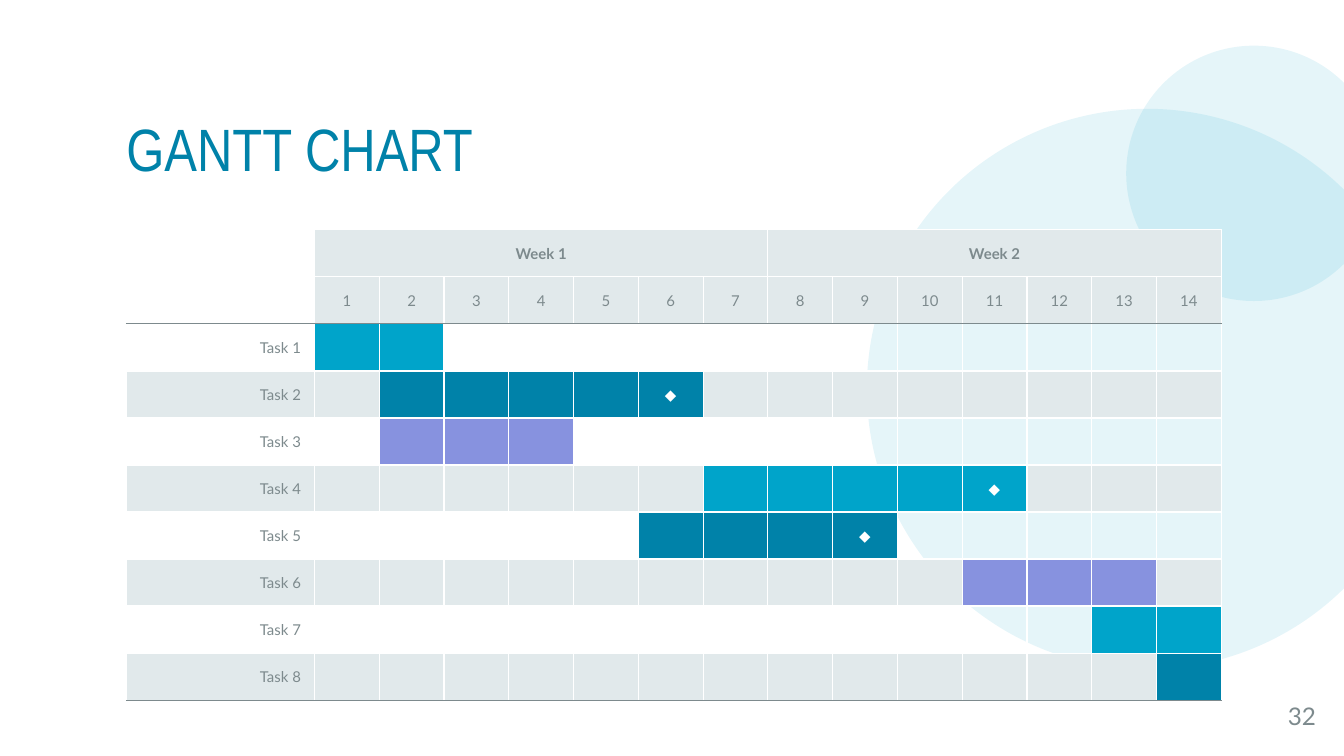
from lxml import etree
from pptx import Presentation, util as u
from pptx.dml.color import RGBColor
from pptx.enum import shapes, text
from pptx.oxml.ns import qn

# Content
TITLE = "GANTT CHART"
PAGE_NUMBER = "32"
WEEKS = ["Week 1", "Week 2"]
DAYS_PER_WEEK = 7

CYAN = RGBColor(0x00, 0xA4, 0xCA)
TEAL = RGBColor(0x00, 0x82, 0xA9)
VIOLET = RGBColor(0x87, 0x92, 0xDF)
GREY = RGBColor(0x7D, 0x8A, 0x8D)
PALE = RGBColor(0xE1, 0xE9, 0xEB)
WHITE = RGBColor(0xFF, 0xFF, 0xFF)

# Task name, first day, last day, bar colour, milestone on the last day
TASKS = [
    ("Task 1", 1, 2, CYAN, False),
    ("Task 2", 2, 6, TEAL, True),
    ("Task 3", 2, 4, VIOLET, False),
    ("Task 4", 7, 11, CYAN, True),
    ("Task 5", 6, 9, TEAL, True),
    ("Task 6", 11, 13, VIOLET, False),
    ("Task 7", 13, 14, CYAN, False),
    ("Task 8", 14, 14, TEAL, False),
]
MILESTONE = "◆"

# Layout, in inches
SLIDE_W = 10
SLIDE_H = SLIDE_W * 9 / 16
LEFT = 0.94
TABLE_TOP, TABLE_W = 1.71, 8.15
NAME_W, ROW_H = 1.4, 0.35
CIRCLES = [(6.45, 0.81, 4.17), (8.38, 0.34, 1.9)]  # left, top, diameter

HEADER_ROWS = 2
DAYS = len(WEEKS) * DAYS_PER_WEEK
ROWS = HEADER_ROWS + len(TASKS)


def set_text(frame, words, size, font, color, align, bold=False):
    frame.text = words
    paragraph = frame.paragraphs[0]
    paragraph.alignment = align
    run = paragraph.runs[0]
    run.font.size, run.font.name = u.Pt(size), font
    run.font.bold, run.font.color.rgb = bold, color


def clear_margins(frame):
    frame.margin_left = frame.margin_right = 0
    frame.margin_top = frame.margin_bottom = 0
    frame.word_wrap = True
    frame.vertical_anchor = text.MSO_ANCHOR.MIDDLE


def set_borders(cell, top, bottom):
    properties = cell._tc.get_or_add_tcPr()
    for side, color in (("L", WHITE), ("R", WHITE), ("T", top), ("B", bottom)):
        line = etree.SubElement(properties, qn(f"a:ln{side}"), w=str(u.Pt(0.75)))
        fill = etree.SubElement(line, qn("a:solidFill"))
        etree.SubElement(fill, qn("a:srgbClr"), val=str(color))


def cell_content(row, col):
    """Return the words, text colour, alignment and fill of a cell."""
    center = text.PP_ALIGN.CENTER
    if row < HEADER_ROWS:
        if col == 0:
            return "", GREY, center, None
        if row == 1:
            return str(col), GREY, center, PALE
        week, day = divmod(col - 1, DAYS_PER_WEEK)
        return ("" if day else WEEKS[week]), GREY, center, PALE
    name, first, last, color, milestone = TASKS[row - HEADER_ROWS]
    band = PALE if row % 2 else None
    if col == 0:
        return name, GREY, text.PP_ALIGN.RIGHT, band
    words = MILESTONE if milestone and col == last else ""
    return words, WHITE, center, color if first <= col <= last else band


prs = Presentation()
prs.slide_width, prs.slide_height = u.Inches(SLIDE_W), u.Inches(SLIDE_H)
slide = prs.slides.add_slide(prs.slide_layouts[5])

# Title
title = slide.shapes.title
title.left, title.top = u.Inches(LEFT), u.Inches(0.72)
title.width, title.height = u.Inches(7.22), u.Inches(0.82)
clear_margins(title.text_frame)
set_text(title.text_frame, TITLE, 32, "Arial Narrow", TEAL, text.PP_ALIGN.LEFT)
title.text_frame.paragraphs[0].line_spacing = 0.9

# Translucent circles, behind the title
for index, (left, top, diameter) in enumerate(CIRCLES):
    circle = slide.shapes.add_shape(
        shapes.MSO_SHAPE.OVAL, u.Inches(left), u.Inches(top),
        u.Inches(diameter), u.Inches(diameter))
    circle.shadow.inherit = False
    circle.line.fill.background()
    circle.fill.solid()
    circle.fill.fore_color.rgb = CYAN
    tint = circle._element.spPr.find(".//" + qn("a:srgbClr"))
    etree.SubElement(tint, qn("a:alpha"), val="10000")
    slide.shapes._spTree.insert(2 + index, circle._element)

# Page number
page = slide.shapes.add_textbox(
    u.Inches(9.41), u.Inches(5.17), u.Inches(0.38), u.Inches(0.31))
clear_margins(page.text_frame)
set_text(page.text_frame, PAGE_NUMBER, 13, "Lato", GREY, text.PP_ALIGN.RIGHT)

# Gantt table
gantt = slide.shapes.add_table(
    ROWS, DAYS + 1, u.Inches(LEFT), u.Inches(TABLE_TOP),
    u.Inches(TABLE_W), u.Inches(ROW_H * ROWS)).table
gantt.first_row = gantt.horz_banding = False
for col, column in enumerate(gantt.columns):
    column.width = u.Inches((TABLE_W - NAME_W) / DAYS if col else NAME_W)

for row in range(ROWS):
    gantt.rows[row].height = u.Inches(ROW_H)
    top = GREY if row == HEADER_ROWS else WHITE
    bottom = GREY if row in (HEADER_ROWS - 1, ROWS - 1) else WHITE
    for col in range(DAYS + 1):
        cell = gantt.cell(row, col)
        words, color, align, fill = cell_content(row, col)
        set_borders(cell, top, bottom)
        if fill is None:
            cell.fill.background()
        else:
            cell.fill.solid()
            cell.fill.fore_color.rgb = fill
        cell.vertical_anchor = text.MSO_ANCHOR.MIDDLE
        if words:
            set_text(cell.text_frame, words, 8, "Lato", color, align, bold=row == 0)
        else:  # keeps empty cells from stretching the row
            etree.SubElement(cell.text_frame.paragraphs[0]._p,
                             qn("a:endParaRPr"), sz="800")

# Week headings
for week in range(len(WEEKS)):
    first = 1 + week * DAYS_PER_WEEK
    gantt.cell(0, first).merge(gantt.cell(0, first + DAYS_PER_WEEK - 1))

prs.save("out.pptx")
